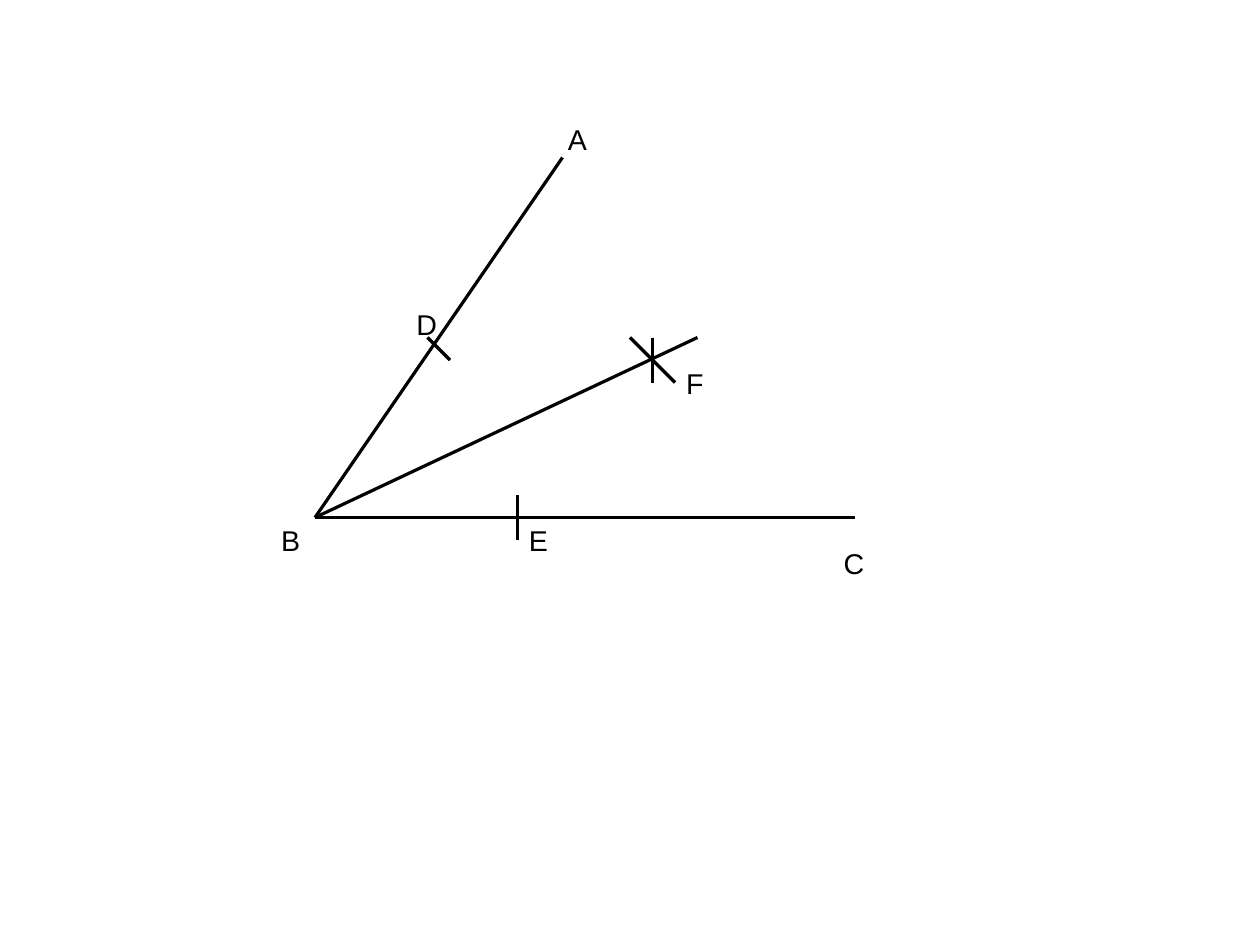
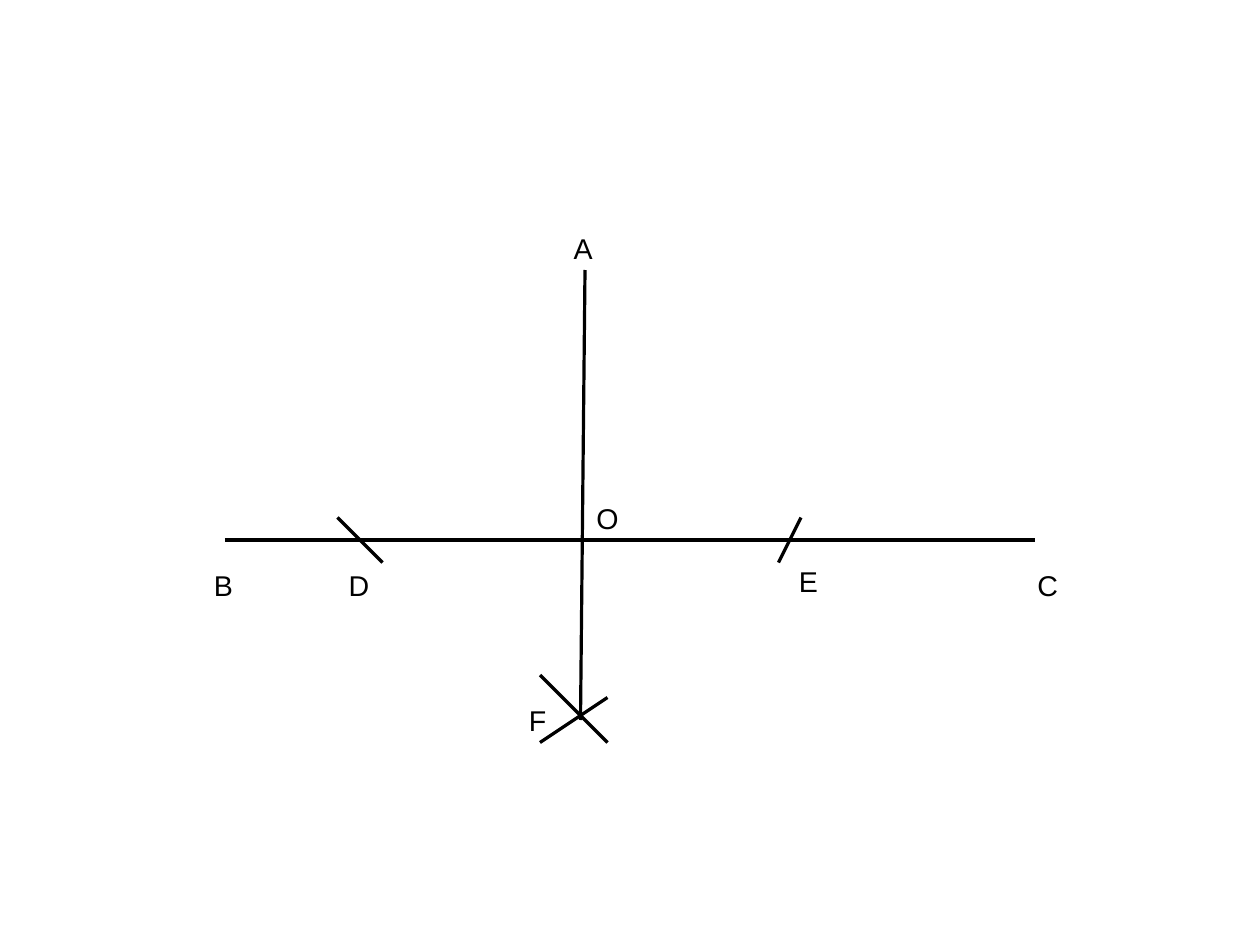
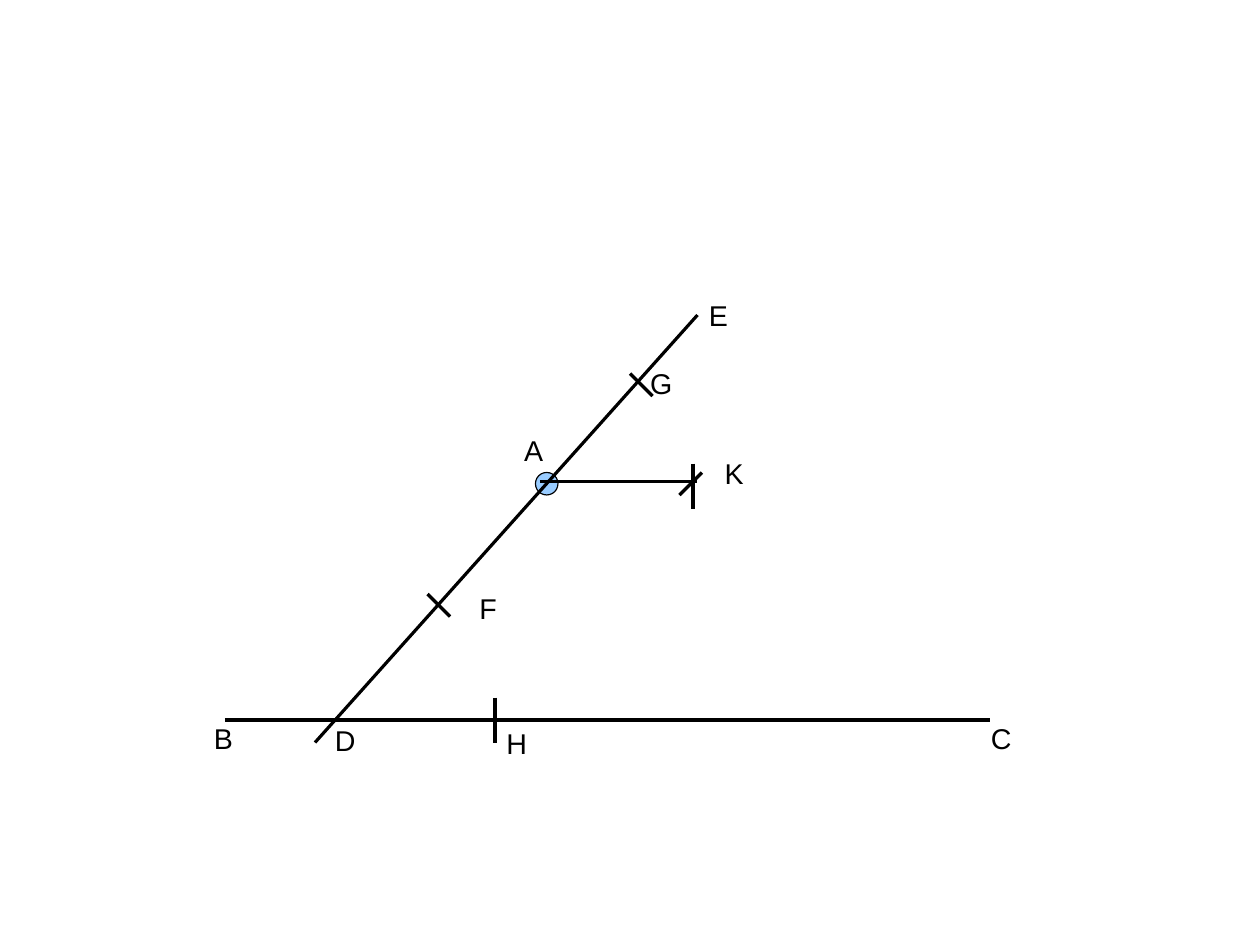
from lxml import etree
from pptx import Presentation
from pptx import util as u
from pptx.dml.color import RGBColor
from pptx.enum import shapes, text
from pptx.oxml.ns import qn

INK = RGBColor(0x00, 0x00, 0x00)
POINT_BLUE = RGBColor(0x99, 0xCC, 0xFF)
FONT = "Arial"
LABEL_SIZE = 18
HAIRLINE = 0

# The page is a grid of half-centimetre squares
COLUMNS, ROWS = 56, 42
SQUARE = u.Cm(0.5)

# Letter widths as shares of the type size
LETTER_WIDTHS = {letter: share
                 for letters, share in (("ABEK", 0.67), ("CDH", 0.72), ("GO", 0.78), ("F", 0.61))
                 for letter in letters}

# Each construction: points (column, row, diameter), lines (from, to)
# and labels (letter, column, row)
CONSTRUCTIONS = [
    # Bisecting an angle
    {
        "points": [],
        "lines": [
            ((25, 7), (14, 23)),
            ((14, 23), (38, 23)),
            ((19, 15), (20, 16)),
            ((23, 22), (23, 24)),
            ((29, 15), (29, 17)),
            ((28, 15), (30, 17)),
            ((14, 23), (31, 15)),
        ],
        "labels": [("A", 24.74, 5.18), ("B", 12, 23), ("C", 37, 24),
                   ("D", 18, 13.4), ("E", 23, 23), ("F", 30, 16)],
    },
    # Dropping a perpendicular
    {
        "points": [],
        "lines": [
            ((10, 24), (46, 24)),
            ((15, 23), (17, 25)),
            ((35.6, 23), (34.6, 25)),
            ((27, 31), (24, 33)),
            ((24, 30), (27, 33)),
            ((26, 12), (25.8, 32)),
        ],
        "labels": [("A", 25, 10), ("B", 9, 25), ("C", 45.6, 25), ("D", 15, 25),
                   ("E", 35, 24.8), ("F", 23, 31), ("O", 26, 22)],
    },
    # Drawing a parallel through a point
    {
        "points": [(23.8, 21, 1)],
        "lines": [
            ((10, 32), (44, 32)),
            ((14, 33), (31, 14)),
            ((19, 26.4), (20, 27.4)),
            ((22, 31), (22, 33)),
            ((28, 16.6), (29, 17.6)),
            ((30.8, 20.6), (30.8, 22.6)),
            ((31.2, 21), (30.2, 22)),
            ((24, 21.4), (31, 21.4)),
        ],
        "labels": [("A", 22.8, 19), ("B", 9, 31.8), ("C", 43.54, 31.8),
                   ("D", 14.38, 31.9), ("E", 31, 13), ("F", 20.8, 26),
                   ("G", 28.4, 16), ("H", 22, 32), ("K", 31.7, 20)],
    },
]


def grid(*counts):
    """Turn counts of grid squares into lengths."""
    return [round(count * SQUARE) for count in counts]


def add_label(page, letter, column, row, *, size=LABEL_SIZE, font=FONT, color=INK):
    width = u.Pt(size * LETTER_WIDTHS[letter]) + u.Inches(0.2)
    box = page.shapes.add_textbox(*grid(column, row), width, u.Inches(0.38))
    frame = box.text_frame
    frame.word_wrap = False
    frame.auto_size = text.MSO_AUTO_SIZE.SHAPE_TO_FIT_TEXT
    span = frame.paragraphs[0].add_run()
    span.text = letter
    span.font.size = u.Pt(size)
    span.font.name = font
    span.font.color.rgb = color


deck = Presentation()
deck.slide_width, deck.slide_height = grid(COLUMNS, ROWS)
blank_layout = deck.slide_layouts[6]

for construction in CONSTRUCTIONS:
    page = deck.slides.add_slide(blank_layout)

    # Given points lie beneath the lines
    for column, row, diameter in construction["points"]:
        point = page.shapes.add_shape(
            shapes.MSO_SHAPE.OVAL, *grid(column, row, diameter, diameter))
        point.shadow.inherit = False
        point.fill.solid()
        point.fill.fore_color.rgb = POINT_BLUE
        point.line.color.rgb = INK
        point.line.width = HAIRLINE

    # Lines and compass marks
    for start, end in construction["lines"]:
        line = page.shapes.add_connector(
            shapes.MSO_CONNECTOR.STRAIGHT, *grid(*start, *end))
        line.line.color.rgb = INK
        line.line.width = HAIRLINE
        etree.SubElement(line._element.spPr, qn("a:effectLst"))

    # Letters
    for letter, column, row in construction["labels"]:
        add_label(page, letter, column, row)

deck.save("out.pptx")
